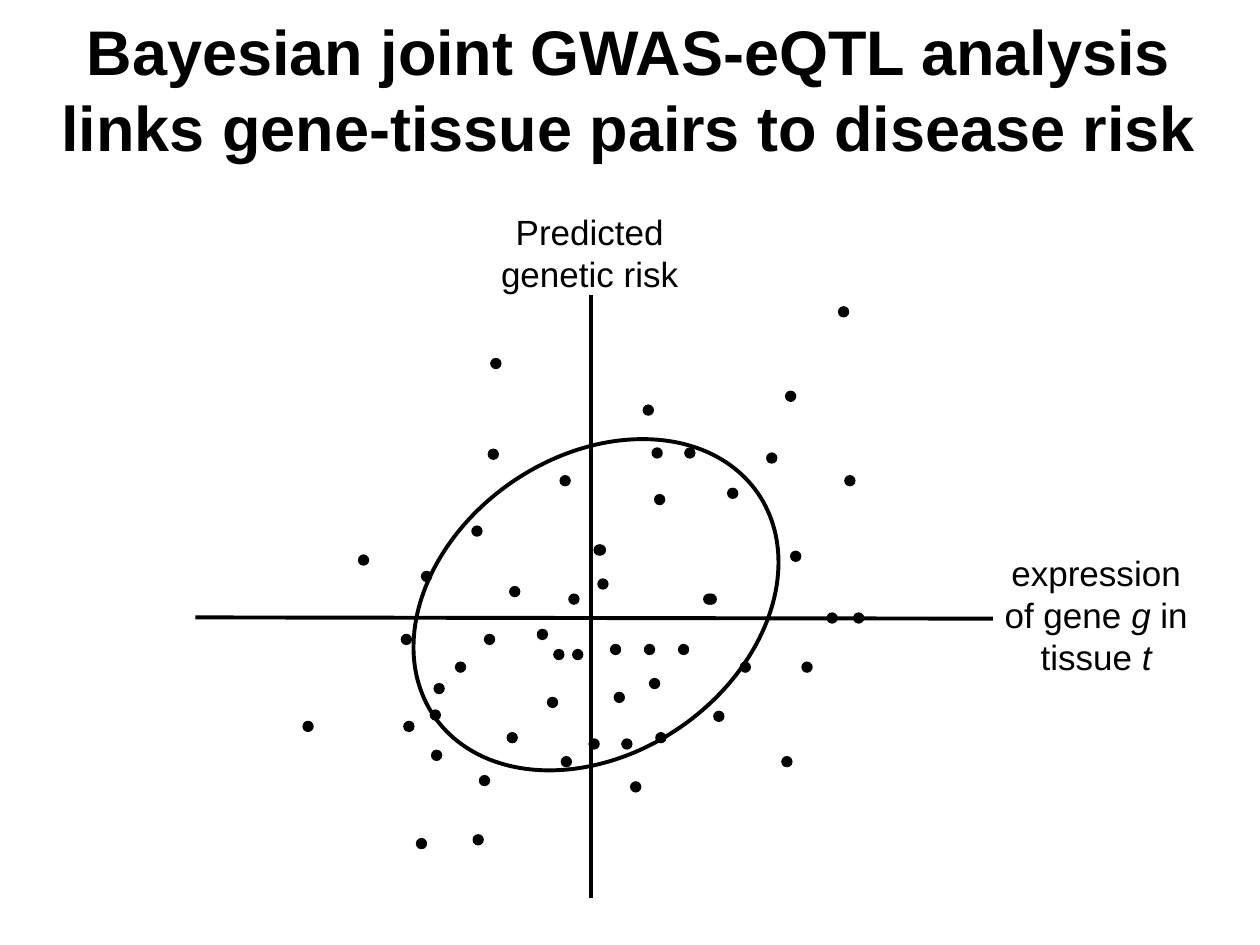
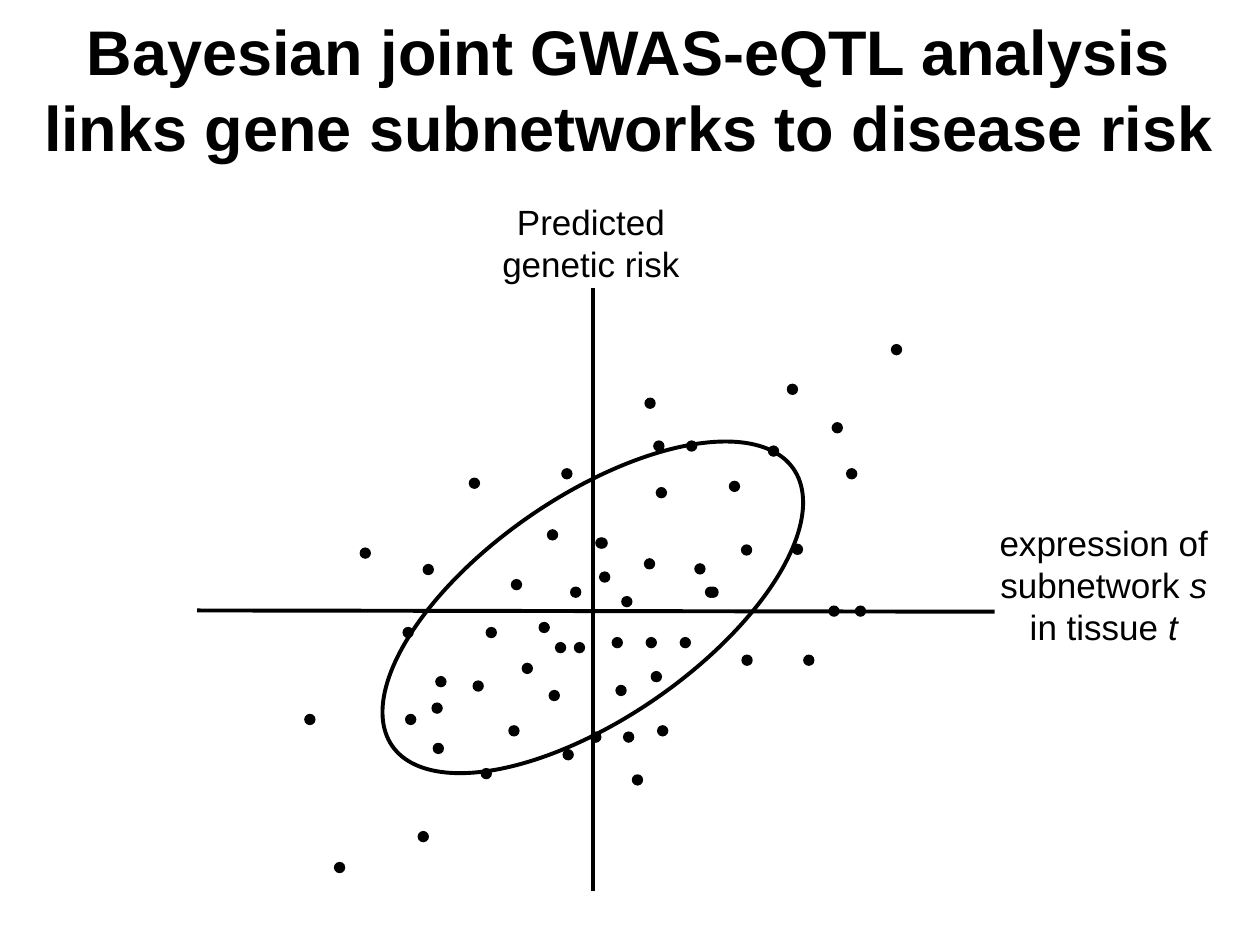
from lxml import etree
from pptx import Presentation
from pptx.dml.color import RGBColor
from pptx.enum.shapes import MSO_CONNECTOR, MSO_SHAPE
from pptx.enum.text import MSO_AUTO_SIZE, PP_ALIGN
from pptx.oxml.ns import qn
from pptx.util import Inches, Pt

STRAIGHT = MSO_CONNECTOR.STRAIGHT
OVAL = MSO_SHAPE.OVAL
CENTER = PP_ALIGN.CENTER
GROW = MSO_AUTO_SIZE.SHAPE_TO_FIT_TEXT

INK = "000000"
FONT = "Arial"
LINE_WIDTH = Pt(2.25)
TITLE_SIZE, LABEL_SIZE = 36, 20
TITLE_PLACE = (5, 5, 988, 131)
TITLE_START = "Bayesian joint GWAS-eQTL analysis links "
DOT = 9
ELLIPSE_TURN = 325.4

deck = Presentation()
deck.slide_width = Inches(10)
deck.slide_height = Inches(7.5)

# Every place below counts cells of a grid of 1000 columns and 750 rows
CELL = deck.slide_width // 1000


def color(hex_string):
    return RGBColor.from_string(hex_string)


def add_text(page, place, size, spans, bold=False):
    """Add a centred text box; every second span is italic."""
    box = page.shapes.add_textbox(*(CELL * cells for cells in place))
    frame = box.text_frame
    frame.word_wrap = True
    frame.auto_size = GROW
    para = frame.paragraphs[0]
    para.alignment = CENTER
    for index, text in enumerate(spans):
        span = para.add_run()
        span.text = text
        span.font.name = FONT
        span.font.size = Pt(size)
        span.font.bold = bold
        span.font.italic = index % 2 == 1
        span.font.color.rgb = color(INK)


# Both plots share these axes and dots, moved together by the plot's shift
AXES = [(469, 713, 469, 234), (788, 491, 155, 490)]
SHARED_DOTS = {  # row: columns
    310: [623], 321: [510], 355: [517, 543], 359: [608], 377: [444, 670],
    387: [577], 392: [519], 432: [472, 471], 437: [627], 440: [284],
    453: [334], 459: [474], 465: [404], 471: [560, 558, 451],
    486: [677, 656], 499: [426], 503: [384, 318], 511: [538, 484, 511],
    515: [454, 439], 525: [636, 587], 538: [515], 542: [344], 549: [487],
    553: [434], 563: [341], 572: [240, 320], 581: [402, 520],
    586: [493, 467], 595: [342], 600: [445], 615: [380], 620: [500],
    665: [330],
}

# What differs; own dots are (column, row)
plots = [
    {
        "title": "gene-tissue pairs to disease risk",
        "shift": (0, 0),
        "risk_place": (364, 162, 208, 77),
        "expression_place": (787, 433, 166, 111),
        "expression": ["expression of gene ", "g", " in tissue ", "t"],
        "ellipse": (317, 362, 312, 236),
        "own_dots": [(374, 417), (566, 564), (389, 284), (361, 525),
                     (665, 243), (620, 600), (375, 662), (387, 356)],
    },
    {
        "title": "gene subnetworks to disease risk",
        "shift": (1.4, -5.5),
        "risk_place": (365, 154, 208, 77),
        "expression_place": (770, 409, 212, 111),
        "expression": ["expression of subnetwork ", "s ", "in tissue ", "t"],
        "ellipse": (277, 394, 387, 176),
        "own_dots": [(372, 379), (588, 432), (660, 335), (375, 540),
                     (707, 273), (551, 447), (265, 684), (434, 420),
                     (511, 443), (493, 473), (414, 526)],
    },
]

for plot in plots:
    page = deck.slides.add_slide(deck.slide_layouts[6])
    right, down = plot["shift"]

    # Axes
    for ends in AXES:
        moved = [cells + move for cells, move in zip(ends, plot["shift"] * 2)]
        axis = page.shapes.add_connector(STRAIGHT, *(int(CELL * cells) for cells in moved))
        axis.line.color.rgb = color(INK)
        axis.line.width = LINE_WIDTH
        etree.SubElement(axis._element.spPr, qn("a:effectLst"))

    # Axis labels
    add_text(page, plot["risk_place"], LABEL_SIZE, ["Predicted genetic risk"])
    add_text(page, plot["expression_place"], LABEL_SIZE, plot["expression"])

    # Scattered dots
    shared = [(column + right, row + down)
              for row, columns in SHARED_DOTS.items() for column in columns]
    for column, row in shared + plot["own_dots"]:
        dot = page.shapes.add_shape(
            OVAL, int(CELL * column), int(CELL * row), CELL * DOT, CELL * DOT)
        dot.shadow.inherit = False
        dot.fill.solid()
        dot.fill.fore_color.rgb = color(INK)
        dot.line.fill.background()

    # Tilted ellipse around the bulk of the dots
    ellipse = page.shapes.add_shape(OVAL, *(CELL * cells for cells in plot["ellipse"]))
    ellipse.rotation = ELLIPSE_TURN
    ellipse.shadow.inherit = False
    ellipse.fill.background()
    ellipse.line.color.rgb = color(INK)
    ellipse.line.width = LINE_WIDTH

    # Title
    add_text(page, TITLE_PLACE, TITLE_SIZE, [TITLE_START + plot["title"]], bold=True)

deck.save("out.pptx")
